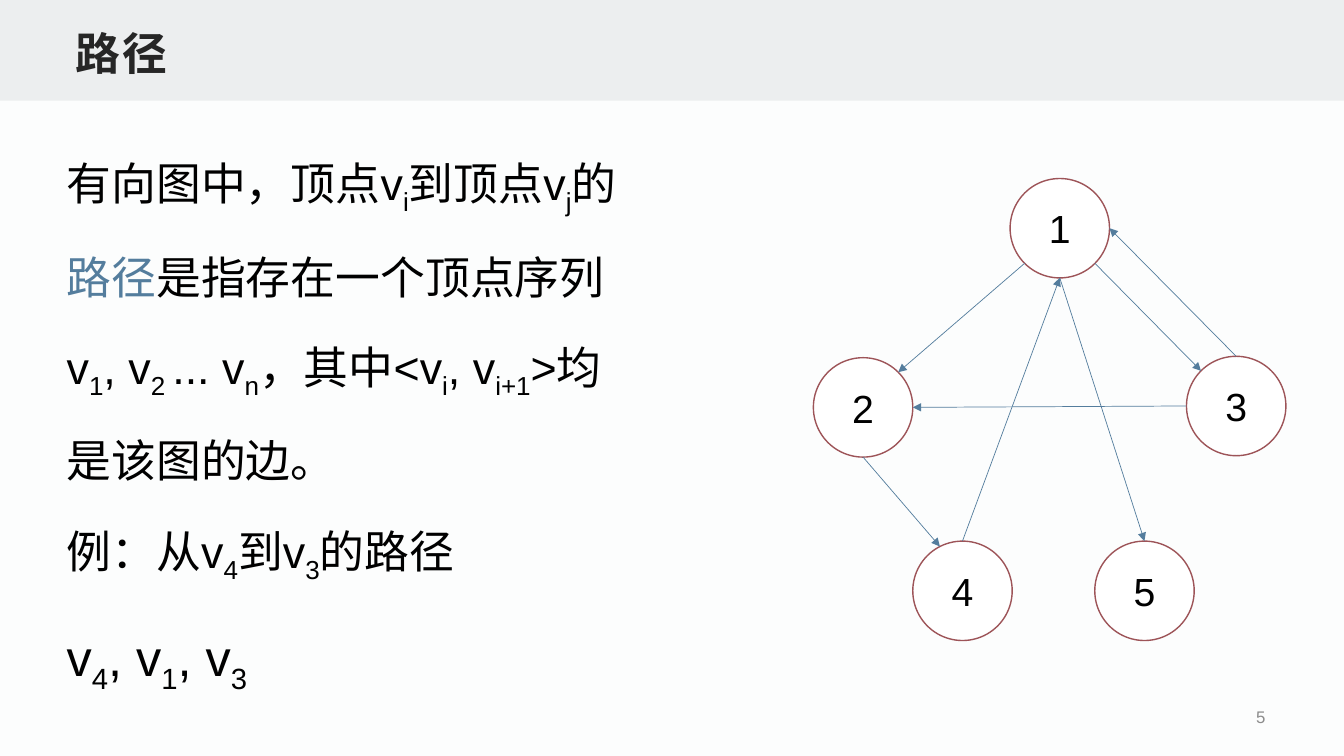
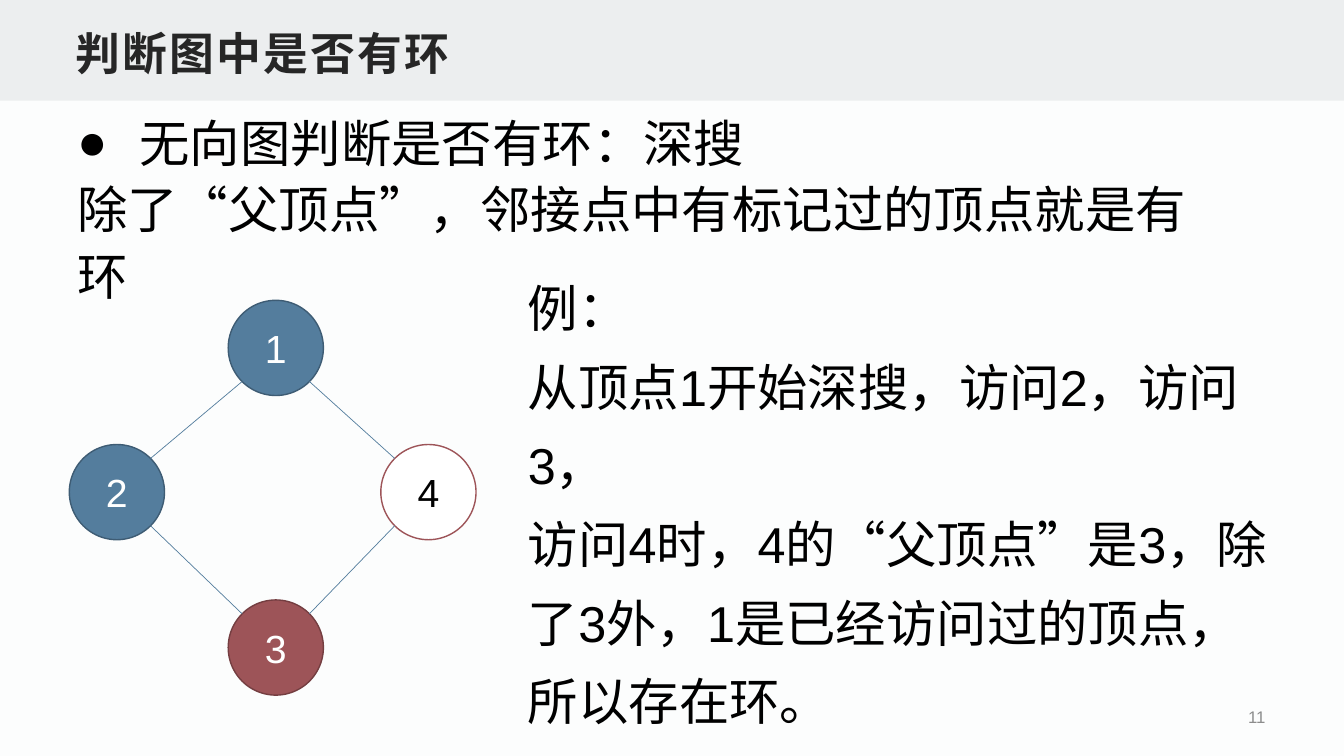
"""Build two slides on graph paths and cycle detection."""
from dataclasses import dataclass
from math import cos, pi, sin
from typing import NamedTuple

from pptx import Presentation
from pptx import util as u
from pptx.dml.color import RGBColor
from pptx.enum import shapes, text
from pptx.oxml import ns
from pptx.oxml.xmlchemy import OxmlElement

PT = u.Pt


@dataclass(frozen=True)
class Theme:
    face: str = "Arial"
    back: str = "FCFDFD"
    band: str = "ECEEEF"
    head: str = "262626"
    ink: str = "000000"
    pale: str = "FFFFFF"
    gray: str = "8C8C8C"
    blue: str = "547D9D"
    navy: str = "3E5C74"
    red: str = "9D5458"
    wine: str = "743E41"
    large: int = 36
    body: int = 32
    label: int = 28
    small: int = 12


T = Theme()


class Box(NamedTuple):
    x: float
    y: float
    w: float
    h: float


class Look(NamedTuple):
    fill: str
    line: str
    ink: str


class Node(NamedTuple):
    name: str
    x: float
    y: float
    look: Look


class Edge(NamedTuple):
    """Link two nodes; sites count eighths of a turn leftward from the top."""
    start: str
    leave: float
    end: str
    meet: float


class Para(NamedTuple):
    text: str
    size: int
    mark: str = ""


OPEN = Look(T.pale, T.red, T.ink)
SEEN = Look(T.blue, T.navy, T.pale)
LAST = Look(T.red, T.wine, T.pale)

WIDE, HIGH = 960, 540
BAND = Box(0, 0, WIDE, 72)
TITLE = Box(48, 12, 864, 48)
PAGE = Box(698.5, 499.5, 212.5, 25.5)
HANG = 44.65


def rgb(code: str) -> RGBColor:
    """Turn a hex code into a colour."""
    return RGBColor.from_string(code)


def lay(box: Box) -> list:
    """Give a box as lengths in points."""
    return [PT(n) for n in box]


def tag(name: str, **attrs: str):
    """Make a drawing element with attributes."""
    node = OxmlElement(name)
    for key, value in attrs.items():
        node.set(key, value)
    return node


def write(para, words: str, *, size: float, color: str = T.ink, bold: bool = False,
          align=text.PP_ALIGN.LEFT, lead: float = 1, space: int = 0, mark: str = "") -> None:
    """Fill a paragraph; tildes enclose subscripts and carets enclose blue words."""
    para.alignment = align
    para.line_spacing = lead
    if mark:
        props = para._p.get_or_add_pPr()
        props.set("marL", str(PT(HANG)))
        props.set("indent", str(-PT(HANG)))
        props.append(tag("a:buFont", typeface=T.face))
        props.append(tag("a:buChar", char=mark))
    for i, part in enumerate(words.split("~")):
        for j, piece in enumerate(part.split("^")):
            if not piece:
                continue
            run = para.add_run()
            run.text = piece
            font = run.font
            font.name, font.size, font.bold = T.face, PT(size), bold
            font.color.rgb = rgb(T.blue if j % 2 else color)
            props = run._r.get_or_add_rPr()
            if i % 2:
                props.set("baseline", "-25000")
            if space:
                props.set("spc", str(space))


def block(slide, box: Box, paras: list[Para], lead: float) -> None:
    """Add a wrapped text box of paragraphs."""
    frame = slide.shapes.add_textbox(*lay(box)).text_frame
    frame.word_wrap = True
    frame.auto_size = text.MSO_AUTO_SIZE.SHAPE_TO_FIT_TEXT
    for i, item in enumerate(paras):
        para = frame.add_paragraph() if i else frame.paragraphs[0]
        write(para, item.text, size=item.size, lead=lead, mark=item.mark)


def form(slide, kind, box: Box, fill: str, line: str = ""):
    """Add a flat preset shape."""
    shape = slide.shapes.add_shape(kind, *lay(box))
    shape.shadow.inherit = False
    shape.fill.solid()
    shape.fill.fore_color.rgb = rgb(fill)
    if line:
        shape.line.color.rgb = rgb(line)
        shape.line.width = PT(1)
    else:
        shape.line.fill.background()
    return shape


def site(node: Node, size: float, turn: float) -> tuple:
    """Find a point on the rim of a node."""
    angle, half = turn * pi / 4, size / 2
    return PT(node.x + half - half * sin(angle)), PT(node.y + half - half * cos(angle))


def graph(slide, nodes: list[Node], edges: list[Edge], size: float, arrow: bool) -> None:
    """Draw round nodes and the edges between them."""
    for node in nodes:
        look = node.look
        disc = form(slide, shapes.MSO_SHAPE.OVAL, Box(node.x, node.y, size, size),
                    look.fill, look.line)
        frame = disc.text_frame
        frame.vertical_anchor = text.MSO_ANCHOR.MIDDLE
        write(frame.paragraphs[0], node.name, size=T.label, color=look.ink,
              align=text.PP_ALIGN.CENTER)
    names = {node.name: node for node in nodes}
    for edge in edges:
        link = slide.shapes.add_connector(
            shapes.MSO_CONNECTOR.STRAIGHT,
            *site(names[edge.start], size, edge.leave),
            *site(names[edge.end], size, edge.meet))
        link.line.color.rgb = rgb(T.blue)
        link.line.width = PT(0.5)
        props = link.element.spPr
        if arrow:
            props.find(ns.qn("a:ln")).append(tag("a:tailEnd", type="triangle"))
        props.append(tag("a:effectLst"))


def start(deck, title: str, page: str):
    """Add a slide with its title and page number."""
    slide = deck.slides.add_slide(deck.slide_layouts[5])
    head = slide.shapes.title
    head.left, head.top, head.width, head.height = lay(TITLE)
    frame = head.text_frame
    frame.auto_size = text.MSO_AUTO_SIZE.NONE
    frame.vertical_anchor = text.MSO_ANCHOR.BOTTOM
    frame.margin_left = frame.margin_right = PT(6)
    frame.margin_top = frame.margin_bottom = PT(3)
    write(frame.paragraphs[0], title, size=T.body, color=T.head, bold=True, space=150)
    frame = slide.shapes.add_textbox(*lay(PAGE)).text_frame
    frame.word_wrap = True
    frame.vertical_anchor = text.MSO_ANCHOR.MIDDLE
    write(frame.paragraphs[0], page, size=T.small, color=T.gray, align=text.PP_ALIGN.RIGHT)
    return slide


def dress(slide) -> None:
    """Give the layout of a slide its background and band."""
    base = slide.slide_layout
    base.background.fill.solid()
    base.background.fill.fore_color.rgb = rgb(T.back)
    band = form(slide, shapes.MSO_SHAPE.RECTANGLE, BAND, T.band)
    base.shapes.element.insert(2, band.element)


def route(deck) -> None:
    """Build the slide on paths."""
    slide = start(deck, "路径", "5")
    dress(slide)
    block(slide, Box(40.5, 81.5, 411, 386.5), [
        Para("有向图中，顶点v~i~到顶点v~j~的^路径^是指存在一个顶点序列v~1~, v~2 ~... v~n~"
             "，其中<v~i~, v~i+1~>均是该图的边。", T.body),
        Para("例：从v~4~到v~3~的路径", T.body),
        Para("v~4~, v~1~, v~3~", T.large),
    ], 1.6)
    low = 386.5
    graph(slide, [
        Node("1", 721.5, 127.5, OPEN),
        Node("5", 782, low, OPEN),
        Node("2", 581, 255.5, OPEN),
        Node("3", 847.5, 254.5, OPEN),
        Node("4", 652, low, OPEN),
    ], [
        Edge("1", 3, "2", 7),
        Edge("1", 4, "5", 0),
        Edge("1", 5, "3", 1),
        Edge("4", 0, "1", 4),
        Edge("3", 2, "2", 6),
        Edge("3", 0, "1", 6),
        Edge("2", 4, "4", 0.6),
    ], 71, True)


def cycle(deck) -> None:
    """Build the slide on finding cycles."""
    slide = start(deck, "判断图中是否有环", "11")
    block(slide, Box(48, 72, 812, 103), [
        Para("无向图判断是否有环：深搜", T.large, "●"),
        Para("除了“父顶点”，邻接点中有标记过的顶点就是有环", T.large),
    ], 1.1)
    mid, row = 163, 317.5
    graph(slide, [
        Node("1", mid, 214.5, SEEN),
        Node("2", 49.5, row, SEEN),
        Node("3", mid, 428.5, LAST),
        Node("4", 272, row, OPEN),
    ], [
        Edge("1", 3, "2", 7),
        Edge("4", 3, "3", 7),
        Edge("4", 1, "1", 5),
        Edge("3", 1, "2", 5),
    ], 68, False)
    block(slide, Box(370, 181.5, 550, 291), [
        Para("例：", T.large),
        Para("从顶点1开始深搜，访问2，访问3，", T.large),
        Para("访问4时，4的“父顶点”是3，除了3外，1是已经访问过的顶点，所以存在环。", T.large),
    ], 1.3)


def main() -> None:
    """Build and save the deck."""
    deck = Presentation()
    deck.slide_width, deck.slide_height = PT(WIDE), PT(HIGH)
    route(deck)
    cycle(deck)
    deck.save("out.pptx")


if __name__ == "__main__":
    main()
